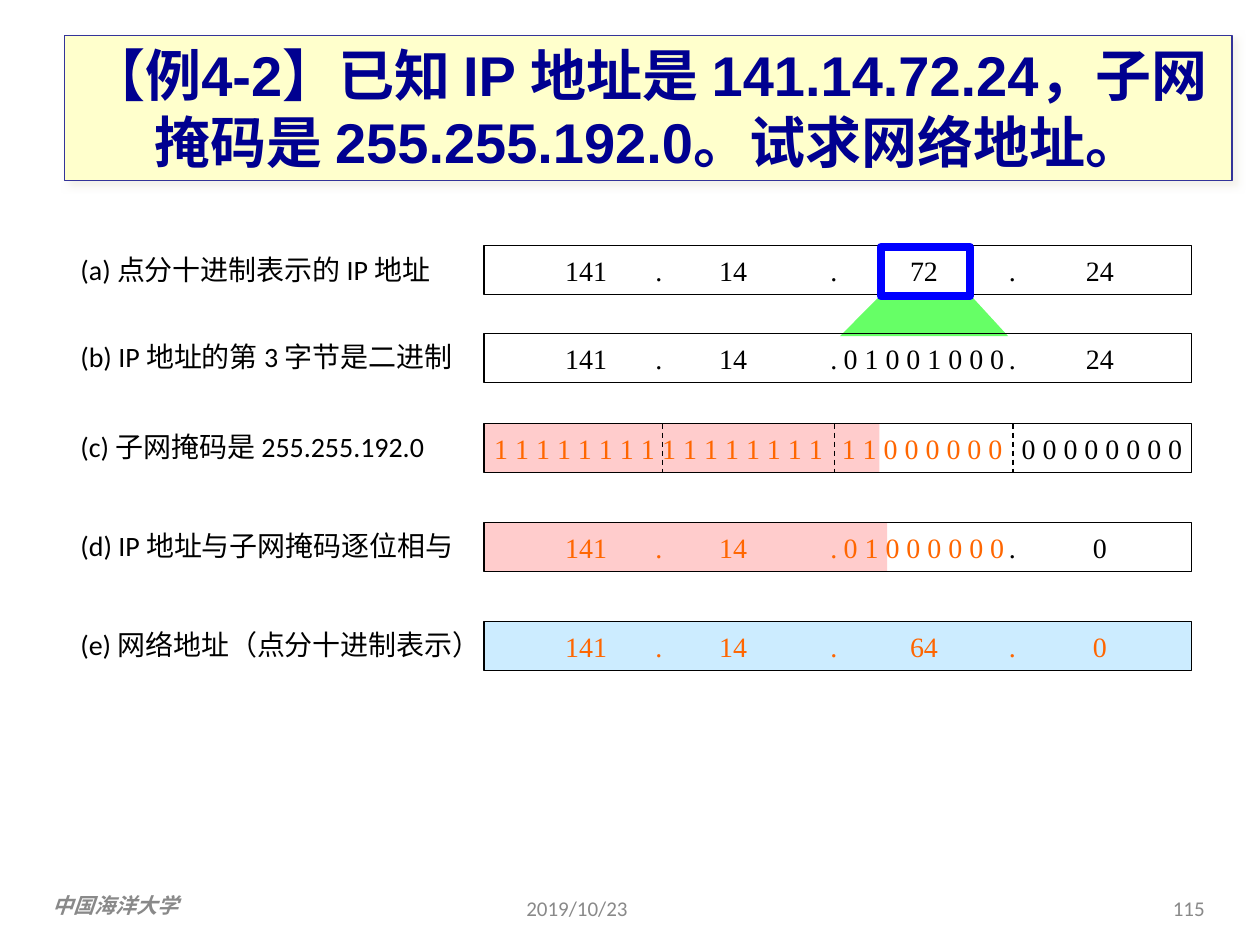
import pptx
import pptx.util
import pptx.dml.color
import pptx.enum.dml
import pptx.enum.shapes
import pptx.enum.text
import pptx.oxml
import pptx.oxml.ns
import lxml.etree

Pt = pptx.util.Pt
RGBColor = pptx.dml.color.RGBColor
Align = pptx.enum.text.PP_ALIGN
Anchor = pptx.enum.text.MSO_ANCHOR
Shape = pptx.enum.shapes.MSO_SHAPE

BLACK = RGBColor(0, 0, 0)
ORANGE = RGBColor(0xFF, 0x66, 0x00)
PINK = RGBColor(0xFF, 0xCC, 0xCC)
SKY = RGBColor(0xCC, 0xEC, 0xFF)
GREEN = RGBColor(0x66, 0xFF, 0x66)
BLUE = RGBColor(0, 0, 0xFF)
NAVY = RGBColor(0, 0, 0x90)
INDIGO = RGBColor(0x33, 0x33, 0x99)
CREAM = RGBColor(0xFF, 0xFF, 0xCC)
GREY = RGBColor(0x89, 0x89, 0x89)

TITLE_FONT = {"name": "Arial", "size": Pt(32), "bold": True}
LABEL_FONT = {"name": "Calibri", "size": Pt(16)}
DIGIT_FONT = {"name": "Times New Roman", "size": Pt(16)}
FOOTER_FONT = {"name": "Calibri", "size": Pt(12)}
SCHOOL_FONT = {"name": "Arial", "size": Pt(12), "bold": True, "italic": True}

ROW_LEFT, ROW_WIDTH, ROW_HEIGHT = 276.5, 404.6, 28
LABEL_LEFT = 38.9
DOTTED_STOPS = (58.4, 100, 142.4, 200, 251.5, 302, 352)
BINARY_STOPS = (51.8, 147.8, 250.4, 353.2)
OCTET_EDGES = (102.2, 200.2, 302.4)

ROWS = [
    {"top": 140.5, "label": "(a) 点分十进制表示的 IP 地址", "label_width": 222.5,
     "spans": [("\t141\t.\t14\t.\t72\t.\t24", BLACK)]},
    {"top": 190.5, "label": "(b) IP 地址的第 3 字节是二进制", "label_width": 236,
     "spans": [("\t141\t.\t14\t.\t0 1 0 0 1 0 0 0\t.\t24", BLACK)]},
    {"top": 242, "label": "(c) 子网掩码是 255.255.192.0", "label_width": 224,
     "spans": [("\t1 1 1 1 1 1 1 1\t1 1 1 1 1 1 1 1\t1 1 0 0 0 0 0 0", ORANGE),
               ("\t0 0 0 0 0 0 0 0", BLACK)],
     "stops": BINARY_STOPS, "band": (226, PINK), "edges": OCTET_EDGES},
    {"top": 298.5, "label": "(d) IP 地址与子网掩码逐位相与", "label_width": 234,
     "spans": [("\t141\t.\t14\t.\t0 1 0 0 0 0 0 0", ORANGE), ("\t.\t0", BLACK)],
     "band": (230.5, PINK)},
    {"top": 355, "label": "(e) 网络地址（点分十进制表示）", "label_width": 246,
     "spans": [("\t141\t.\t14\t.\t64\t.\t0", ORANGE)], "band": (ROW_WIDTH, SKY)},
]


def set_values(target, values):
    for key, value in values.items():
        setattr(target, key, value)


def write_text(shape, spans, font, align=Align.LEFT, anchor=Anchor.TOP,
               inset=(7.2, 3.6), stops=()):
    frame = shape.text_frame
    side, edge = Pt(inset[0]), Pt(inset[1])
    set_values(frame, {"word_wrap": True, "vertical_anchor": anchor,
                       "margin_left": side, "margin_right": side,
                       "margin_top": edge, "margin_bottom": edge})
    para = frame.paragraphs[0]
    para.alignment = align
    if stops:
        qn = pptx.oxml.ns.qn
        tabs = lxml.etree.SubElement(para._p.get_or_add_pPr(), qn("a:tabLst"))
        for stop in stops:
            lxml.etree.SubElement(tabs, qn("a:tab"), pos=str(int(Pt(stop))), algn="ctr")
    for text, colour in spans:
        span = para.add_run()
        span.text = text
        set_values(span.font, font)
        span.font.color.rgb = colour


def add_text(page, box, spans, font, **layout):
    shape = page.shapes.add_textbox(*map(Pt, box))
    write_text(shape, spans, font, **layout)


def add_box(page, box, fill=None, line=None, weight=0.75):
    shape = page.shapes.add_shape(Shape.RECTANGLE, *map(Pt, box))
    shape.shadow.inherit = False
    if fill is None:
        shape.fill.background()
    else:
        shape.fill.solid()
        shape.fill.fore_color.rgb = fill
    if line is None:
        shape.line.fill.background()
    else:
        shape.line.color.rgb = line
        shape.line.width = Pt(weight)
    return shape


def add_dashed_edge(page, x, top, bottom):
    edge = page.shapes.add_connector(
        pptx.enum.shapes.MSO_CONNECTOR.STRAIGHT, Pt(x), Pt(top), Pt(x), Pt(bottom))
    set_values(edge.line, {"width": Pt(0.75),
                           "dash_style": pptx.enum.dml.MSO_LINE.DASH})
    edge.line.color.rgb = BLACK
    lxml.etree.SubElement(edge._element.spPr, pptx.oxml.ns.qn("a:effectLst"))


def add_title(page, box):
    banner = add_box(page, box, CREAM, INDIGO)
    qn = pptx.oxml.ns.qn
    effects = banner._element.spPr.find(qn("a:effectLst"))
    shadow = lxml.etree.SubElement(
        effects, qn("a:outerShdw"), blurRad=str(int(Pt(5))), dist=str(int(Pt(3))),
        dir="2700000", algn="ctr", rotWithShape="0")
    tint = lxml.etree.SubElement(shadow, qn("a:srgbClr"), val="EEECE1")
    lxml.etree.SubElement(tint, qn("a:alpha"), val="75000")
    title = "【例4-2】已知 IP 地址是 141.14.72.24，子网掩码是 255.255.192.0。试求网络地址。"
    write_text(banner, [(title, NAVY)], TITLE_FONT, align=Align.CENTER,
               anchor=Anchor.MIDDLE)


def add_expansion(page, box):
    left, top, width, height = box
    flare = 23
    builder = page.shapes.build_freeform(left + flare, top, scale=float(Pt(1)))
    builder.add_line_segments([(left + width - flare, top), (left + width, top + height),
                               (left, top + height)], close=True)
    shape = builder.convert_to_shape()
    shape.shadow.inherit = False
    shape.fill.solid()
    shape.fill.fore_color.rgb = GREEN
    shape.line.fill.background()


def add_row(page, box, row):
    left, top, width, height = box
    if "band" in row:
        band_width, band_colour = row["band"]
        add_box(page, (left, top, band_width, height), band_colour)
    add_box(page, box, line=BLACK)
    for edge in row.get("edges", ()):
        add_dashed_edge(page, left + edge, top, top + height)
    add_text(page, (left, top + 1, width, height - 1), row["spans"], DIGIT_FONT,
             inset=(0, 3.6), stops=row.get("stops", DOTTED_STOPS))
    add_text(page, (LABEL_LEFT, top, row["label_width"], 26), [(row["label"], BLACK)],
             LABEL_FONT)


def add_footer(page, box):
    left, top, width, height = box
    add_text(page, (left, top + 5.5, 150, 14.4), [("中国海洋大学", GREY)], SCHOOL_FONT,
             inset=(0, 0))
    add_text(page, (left + 263.5, top, 168, height), [("2019/10/23", GREY)], FOOTER_FONT,
             anchor=Anchor.MIDDLE)
    add_text(page, (left + width - 168, top, 168, height), [("115", GREY)], FOOTER_FONT,
             align=Align.RIGHT, anchor=Anchor.MIDDLE)


def main():
    deck = pptx.Presentation()
    set_values(deck, {"slide_width": Pt(720), "slide_height": Pt(540)})
    page = deck.slides.add_slide(deck.slide_layouts[6])
    add_title(page, (36.7, 20.2, 667.4, 82.8))
    add_expansion(page, (480.5, 168, 96, 24))
    for row in ROWS:
        add_row(page, (ROW_LEFT, row["top"], ROW_WIDTH, ROW_HEIGHT), row)
    add_box(page, (503.3, 141, 51, 28.3), line=BLUE, weight=4.5)
    add_footer(page, (30.2, 504.7, 665.3, 28.8))
    deck.save("out.pptx")


if __name__ == "__main__":
    main()
